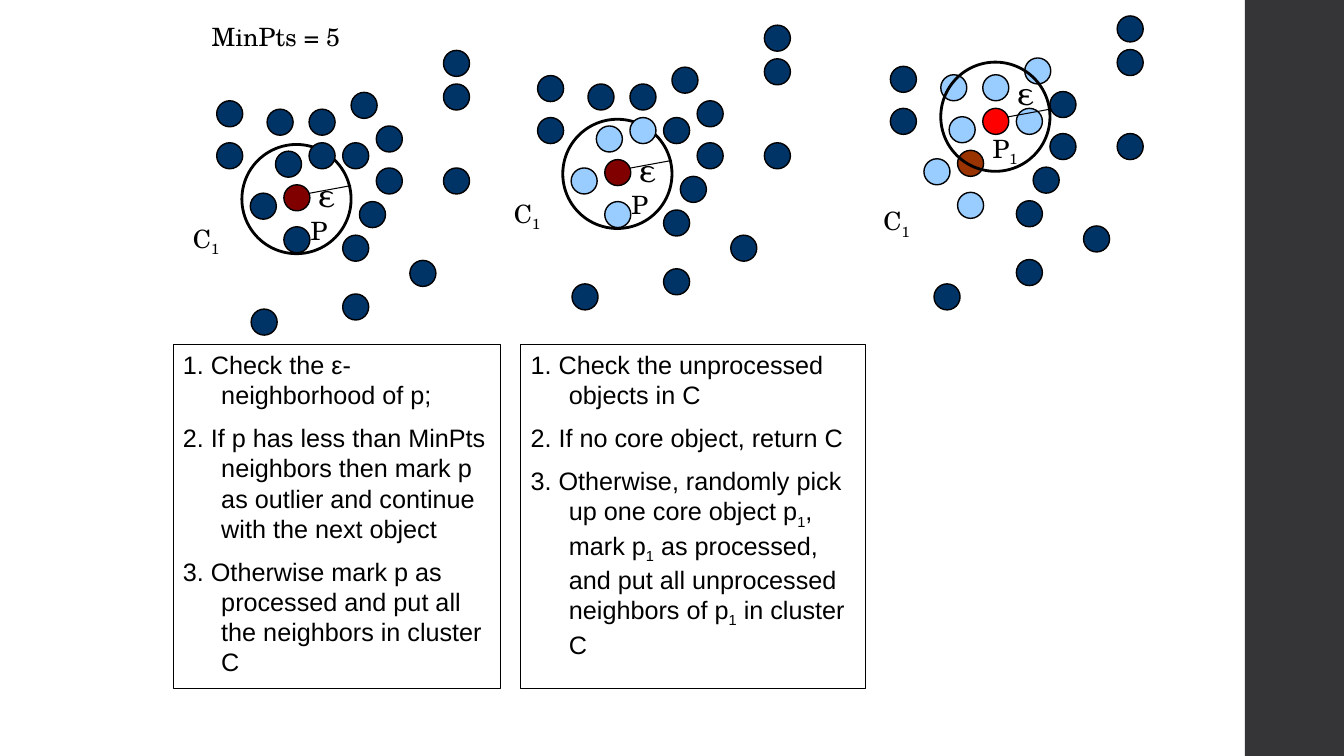
import pptx
import pptx.util
import pptx.dml.color
import pptx.enum.shapes
import pptx.enum.text
import pptx.oxml.ns
import lxml.etree

COLORS = {
    "ink": "000000",
    "sidebar": "353537",
    "unvisited": "003366",
    "neighbor": "99CCFF",
    "core": "800000",
    "next_core": "FF0000",
    "processed": "993300",
}
COLUMNS, ROWS = 160, 90
CELL = pptx.util.Inches(7.5) / ROWS
DOT, RING = 3.1, 13
SERIF, SANS = "TeX Gyre Schola", "Arial"
OVAL = pptx.enum.shapes.MSO_SHAPE.OVAL
RECTANGLE = pptx.enum.shapes.MSO_SHAPE.RECTANGLE

POINTS = [
    (6, 1), (7, 6), (11, 5), (4, 11), (15, 5), (11, 1), (8, 15),
    (19, 3), (16, -1), (19, 8), (17, 12), (0, 5), (15, 16), (27, -2),
    (0, 0), (27, -6), (27, 8), (23, 19), (15, 23), (8, 10),
]
STAGES = [
    {
        "origin": (25.8, 12), "center": (8, 10), "center_color": "core",
        "neighbors": [], "processed": [], "outlier": (4.1, 24.8),
        "ring": (-5, -4.8), "ring_on_top": False, "epsilon": (3, -1.9),
        "point_name": "P", "point_label": (2, 3), "cluster": (-4, 14),
    },
    {
        "origin": (64, 9), "center": (8, 10), "center_color": "core",
        "neighbors": [(7, 6), (11, 5), (4, 11), (8, 15)],
        "processed": [], "outlier": (4.1, 24.8),
        "ring": (-5, -4.8), "ring_on_top": False, "epsilon": (3, -1.9),
        "point_name": "P", "point_label": (2, 3), "cluster": (-4, 14),
    },
    {
        "origin": (106, 7.9), "center": (11, 5), "center_color": "next_core",
        "neighbors": [(6, 1), (7, 6), (4, 11), (15, 5), (11, 1), (8, 15), (16, -1)],
        "processed": [(8, 10)], "outlier": (5.2, 25.9),
        "ring": (-5, -5.5), "ring_on_top": True, "epsilon": (3, -4.9),
        "point_name": "P|1|", "point_label": (0, 2.4), "cluster": (-2, 16),
    },
]
STEPS = [
    ((20.6, 41, 39, 41), [
        "1. Check the ε-neighborhood of p;",
        "2. If p has less than MinPts neighbors then mark p as outlier and continue with the next object",
        "3. Otherwise mark p as processed and put all the neighbors in cluster C",
    ]),
    ((62, 41, 41, 41), [
        "1. Check the unprocessed objects in C",
        "2. If no core object, return C",
        "3. Otherwise, randomly pick up one core object p|1|, mark p|1| as processed, "
        "and put all unprocessed neighbors of p|1| in cluster C",
    ]),
]


def rgb(name):
    return pptx.dml.color.RGBColor.from_string(COLORS[name])


def cells(*lengths):
    return [round(length * CELL) for length in lengths]


def shift(start, offset):
    return start[0] + offset[0], start[1] + offset[1]


def add_outline(slide, kind, box, fill=None, line=None):
    shape = slide.shapes.add_shape(kind, *cells(*box))
    shape.shadow.inherit = False
    if fill:
        shape.fill.solid()
        shape.fill.fore_color.rgb = rgb(fill)
    else:
        shape.fill.background()
    if line:
        shape.line.color.rgb = rgb("ink")
        shape.line.width = pptx.util.Pt(line)
    else:
        shape.line.fill.background()
    return shape


def write(paragraph, text, size, face):
    paragraph.alignment = pptx.enum.text.PP_ALIGN.LEFT
    for index, piece in enumerate(text.split("|")):
        if not piece:
            continue
        run = paragraph.add_run()
        run.text = piece
        for attribute, value in {"size": pptx.util.Pt(size), "name": face}.items():
            setattr(run.font, attribute, value)
        run.font.color.rgb = rgb("ink")
        if index % 2:
            run._r.get_or_add_rPr().set("baseline", "-25000")


def add_label(slide, position, text, size=18, width=7, height=4.8):
    label = slide.shapes.add_textbox(*cells(*position, width, height))
    label.text_frame.word_wrap = True
    write(label.text_frame.paragraphs[0], text, size, SERIF)


def add_dot(slide, position, color):
    add_outline(slide, OVAL, (*position, DOT, DOT), color, 1)


def add_radius(slide, center):
    start = shift(center, (2, 1.2))
    end = shift(start, (6, -1.1))
    radius = slide.shapes.add_connector(
        pptx.enum.shapes.MSO_CONNECTOR.STRAIGHT, *cells(*start, *end))
    radius.line.color.rgb = rgb("ink")
    radius.line.width = pptx.util.Pt(0.75)
    lxml.etree.SubElement(radius._element.spPr, pptx.oxml.ns.qn("a:effectLst"))


def add_stage(slide, stage):
    origin = stage["origin"]
    center = shift(origin, stage["center"])
    ring_box = (*shift(center, stage["ring"]), RING, RING)
    if not stage["ring_on_top"]:
        add_outline(slide, OVAL, ring_box, line=2)
    for point in POINTS:
        if point == stage["center"]:
            continue
        color = "unvisited"
        if point in stage["neighbors"]:
            color = "neighbor"
        elif point in stage["processed"]:
            color = "processed"
        add_dot(slide, shift(origin, point), color)
    add_dot(slide, shift(origin, stage["outlier"]), "unvisited")
    if stage["ring_on_top"]:
        add_outline(slide, OVAL, ring_box, line=2)
    add_radius(slide, center)
    add_dot(slide, center, stage["center_color"])
    add_label(slide, shift(center, stage["epsilon"]), "ε", 24, DOT, 6)
    add_label(slide, shift(center, stage["point_label"]), stage["point_name"])
    add_label(slide, shift(origin, stage["cluster"]), "C|1|")


def add_steps(slide, box, steps):
    frame = add_outline(slide, RECTANGLE, box, line=0.75).text_frame
    frame.word_wrap = True
    frame.vertical_anchor = pptx.enum.text.MSO_ANCHOR.TOP
    hanging = pptx.util.Inches(0.38)
    for index, step in enumerate(steps):
        paragraph = frame.add_paragraph() if index else frame.paragraphs[0]
        properties = paragraph._p.get_or_add_pPr()
        for attribute, value in {"marL": hanging, "indent": -hanging}.items():
            properties.set(attribute, str(value))
        if index:
            paragraph.space_before = pptx.util.Pt(9)
        write(paragraph, step, 18, SANS)


def main():
    deck = pptx.Presentation()
    deck.slide_width, deck.slide_height = cells(COLUMNS, ROWS)
    slide = deck.slides.add_slide(deck.slide_layouts[6])
    add_outline(slide, RECTANGLE, (148.2, 0, COLUMNS - 148.2, ROWS), "sidebar")
    add_label(slide, (24, 2), "MinPts = 5", width=33)
    for stage in STAGES:
        add_stage(slide, stage)
    for box, steps in STEPS:
        add_steps(slide, box, steps)
    deck.save("out.pptx")


if __name__ == "__main__":
    main()
